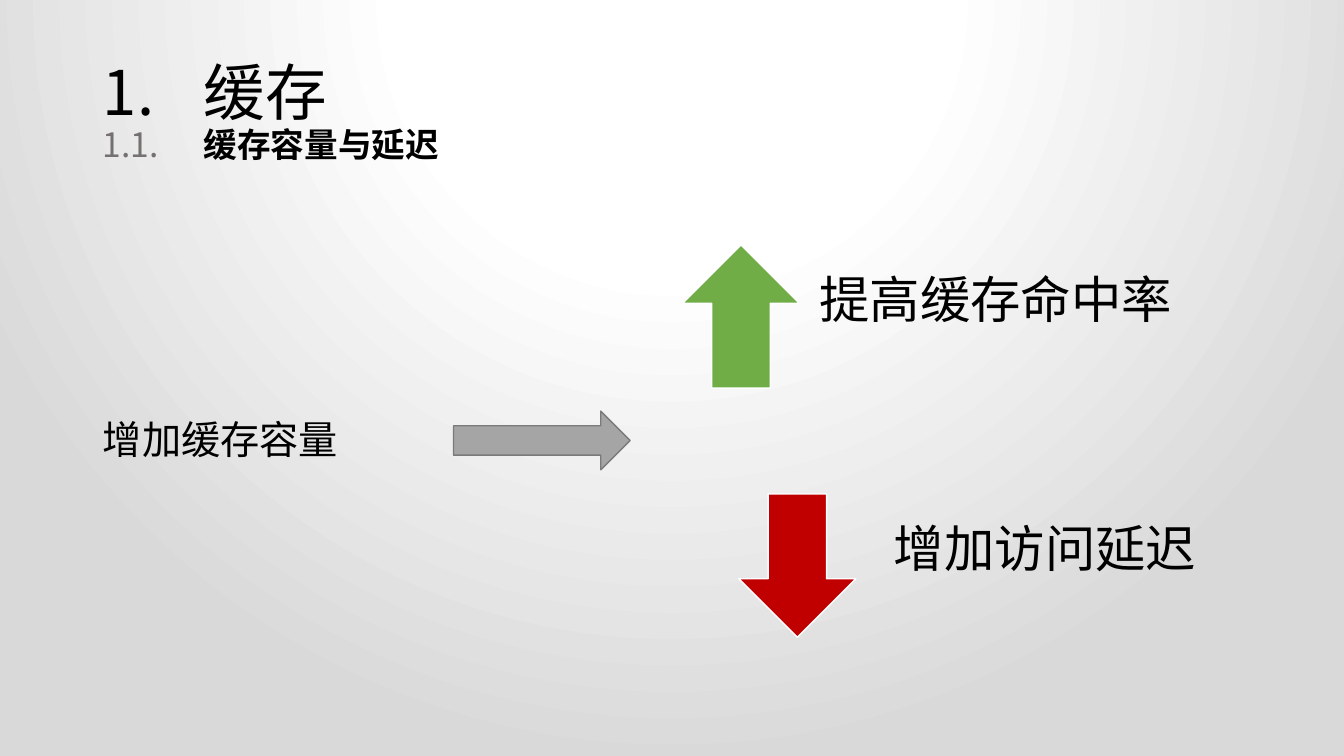
from dataclasses import dataclass

from lxml import etree
from pptx import Presentation
from pptx import util as u
from pptx.dml.color import RGBColor
from pptx.enum import shapes, text
from pptx.oxml import parse_xml
from pptx.oxml.ns import nsdecls, qn


@dataclass(frozen=True)
class Theme:
    font: str = "Noto Sans CJK SC"
    ink: str = "000000"
    muted: str = "767171"
    white: str = "FFFFFF"
    shade: str = "D9D9D9"
    gain: str = "70AD47"
    loss: str = "C00000"
    neutral: str = "A5A5A5"
    neutral_line: str = "7A7A7A"
    title_size: int = 44
    subtitle_size: int = 24
    body_size: int = 28
    effect_size: int = 36


def add_span(para, words, *, font, size, color, bold=False):
    span = para.add_run()
    span.text = words
    span.font.name = font
    span.font.size = u.Pt(size)
    span.font.bold = bold
    span.font.color.rgb = RGBColor.from_string(color)
    east_asian = etree.SubElement(span.font._element, qn("a:ea"))
    east_asian.set("typeface", font)


class SlideBuilder:
    def __init__(self, page, theme):
        self.page = page
        self.theme = theme

    def background(self):
        """Radial gradient centred above the top edge of the slide."""
        stops = ((0, self.theme.white), (35, self.theme.white), (100, self.theme.shade))
        stop_list = "".join(
            f'<a:gs pos="{position * 1000}"><a:srgbClr val="{color}"/></a:gs>'
            for position, color in stops
        )
        self.page._element.cSld.insert(0, parse_xml(
            f'<p:bg {nsdecls("p", "a")}><p:bgPr><a:gradFill rotWithShape="1">'
            f'<a:gsLst>{stop_list}</a:gsLst><a:path path="circle">'
            '<a:fillToRect l="50000" t="-80000" r="50000" b="180000"/></a:path>'
            '</a:gradFill><a:effectLst/></p:bgPr></p:bg>'
        ))

    def prepare(self, box, place):
        """Place a text holder and return its first paragraph."""
        box.left, box.top, box.width, box.height = map(u.Cm, place)
        frame = box.text_frame
        frame.word_wrap = True
        frame.auto_size = text.MSO_AUTO_SIZE.NONE
        frame.vertical_anchor = text.MSO_ANCHOR.MIDDLE
        para = frame.paragraphs[0]
        para.alignment = text.PP_ALIGN.LEFT
        para.line_spacing = 0.9
        return para

    def title(self, place, number, heading, subnumber, subheading):
        theme = self.theme
        para = self.prepare(self.page.shapes.title, place)
        add_span(para, f"{number}\t{heading}", font=theme.font,
                 size=theme.title_size, color=theme.ink)
        para.add_line_break()
        add_span(para, f"{subnumber}\t", font=theme.font,
                 size=theme.subtitle_size, color=theme.muted)
        add_span(para, subheading, font=theme.font,
                 size=theme.subtitle_size, color=theme.ink, bold=True)

    def body(self, place, words):
        para = self.prepare(self.page.placeholders[1], place)
        para.space_before = u.Pt(10)
        properties = para._p.get_or_add_pPr()
        properties.set("marL", "0")
        properties.set("indent", "0")
        etree.SubElement(properties, qn("a:buNone"))
        add_span(para, words, font=self.theme.font,
                 size=self.theme.body_size, color=self.theme.ink)

    def arrow(self, parent, kind, place, fill, line):
        arrow = parent.shapes.add_shape(kind, *map(u.Cm, place))
        arrow.shadow.inherit = False
        arrow.fill.solid()
        arrow.fill.fore_color.rgb = RGBColor.from_string(fill)
        arrow.line.color.rgb = RGBColor.from_string(line)
        arrow.line.width = u.Pt(1)

    def label(self, parent, place, words):
        box = parent.shapes.add_textbox(*map(u.Cm, place))
        para = self.prepare(box, place)
        frame = box.text_frame
        frame.margin_left = frame.margin_right = frame.margin_bottom = u.Cm(0.71)
        frame.margin_top = 0
        add_span(para, words, font=self.theme.font,
                 size=self.theme.effect_size, color=self.theme.ink)


def main():
    theme = Theme()
    deck = Presentation()
    deck.slide_width, deck.slide_height = u.Cm(33.87), u.Cm(19.05)
    page = deck.slides.add_slide(deck.slide_layouts[1])
    builder = SlideBuilder(page, theme)

    builder.background()
    builder.title((2.34, 1.02, 29.21, 3.68), "1.", "缓存", "1.1.", "缓存容量与延迟")
    builder.body((2.34, 5.08, 14.4, 12.09), "增加缓存容量")

    arrows = shapes.MSO_SHAPE
    effects = page.shapes.add_group_shape()
    for kind, fill, arrow_left, label_left, top, width, words in (
        (arrows.UP_ARROW, theme.gain, 17.2, 19.94, 5.08, 10.57, "提高缓存命中率"),
        (arrows.DOWN_ARROW, theme.loss, 18.62, 21.82, 11.36, 9.65, "增加访问延迟"),
    ):
        builder.arrow(effects, kind, (arrow_left, top + 1.09, 2.95, 3.61), fill, theme.white)
        builder.label(effects, (label_left, top, width, 5.79), words)

    builder.arrow(page, arrows.RIGHT_ARROW, (11.43, 10.36, 4.45, 1.48),
                  theme.neutral, theme.neutral_line)
    deck.save("out.pptx")


if __name__ == "__main__":
    main()
